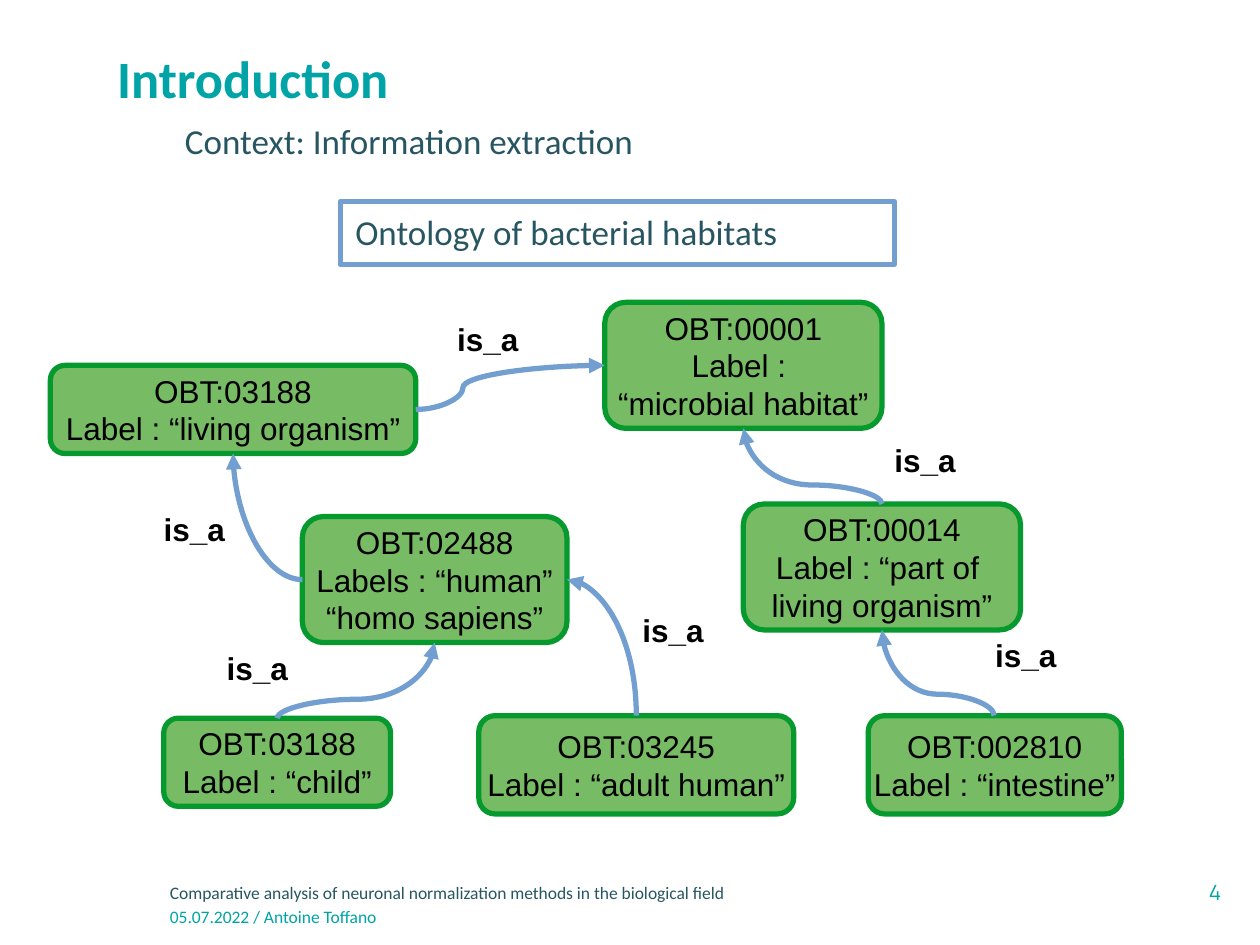
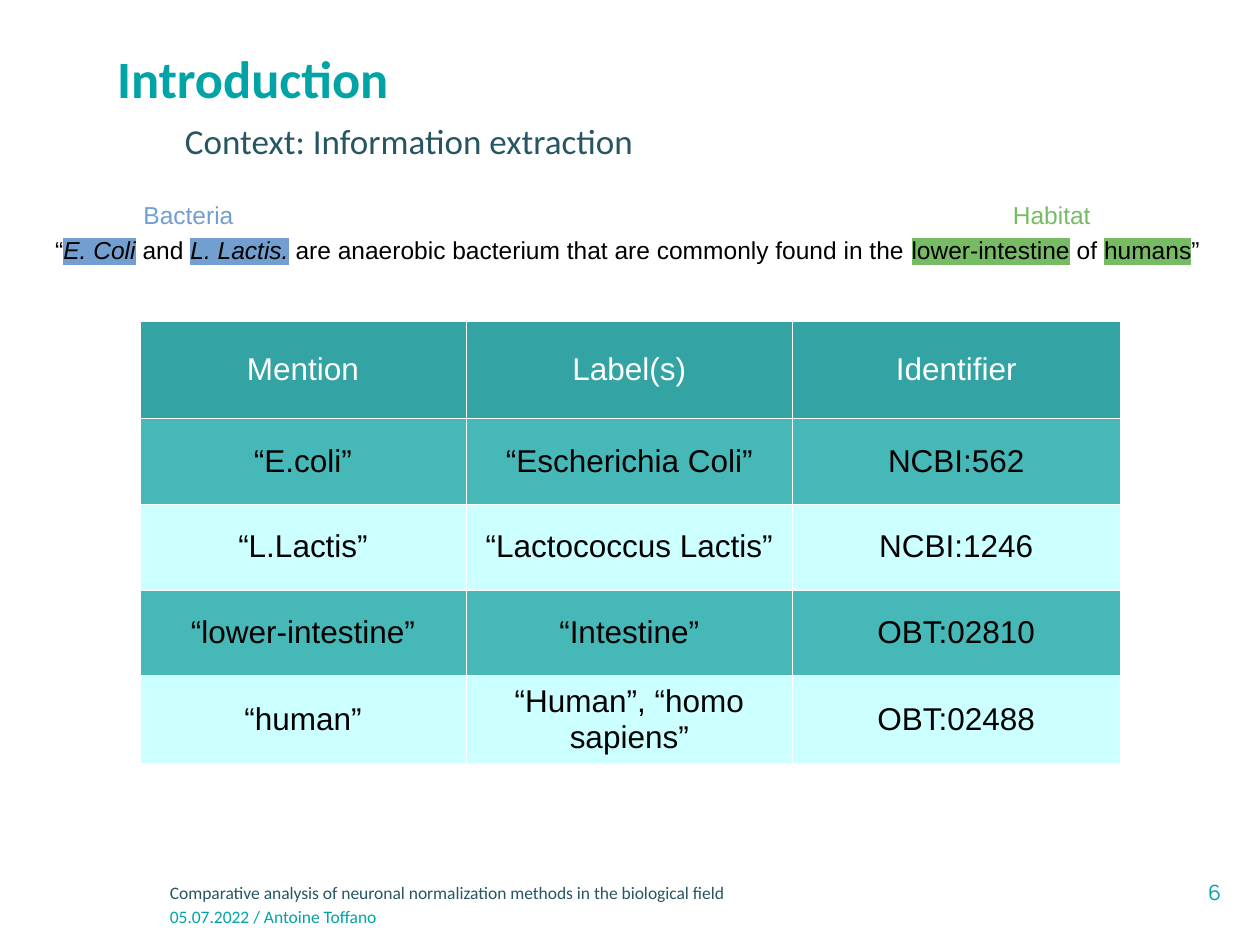
"""Build two slides on information extraction: an ontology graph and a mention table."""
from dataclasses import dataclass
from typing import Optional

from lxml.etree import SubElement as Sub
from pptx import Presentation
from pptx.dml.color import RGBColor as RGB
from pptx.enum.shapes import MSO_CONNECTOR as Link, MSO_SHAPE as Form
from pptx.enum.text import MSO_ANCHOR as Anchor, PP_ALIGN as Align
from pptx.oxml.ns import qn
from pptx.util import Emu, Pt

SCALE = 9144
TEAL = RGB(0x00, 0xA3, 0xA6)
SLATE = RGB(0x27, 0x56, 0x62)
BLUE = RGB(0x72, 0x9F, 0xCF)
LEAF = RGB(0x77, 0xBC, 0x65)
GREEN = RGB(0x06, 0x9A, 0x2E)
BLACK = RGB(0x00, 0x00, 0x00)
WHITE = RGB(0xFF, 0xFF, 0xFF)
HEAD = RGB(0x33, 0xA3, 0xA3)
BANDS = (RGB(0x47, 0xB8, 0xB8), RGB(0xCC, 0xFF, 0xFF))
TOP, LEFT, BOTTOM, RIGHT = range(4)
TURNS = {TOP: 270, LEFT: 180, RIGHT: 0}
THIN = (10, 5, 10, 5)
WIDE = (12, 7, 12, 7)


@dataclass(frozen=True)
class Box:
    x: int
    y: int
    w: int
    h: int

    def mid(self, side: int) -> tuple[int, int]:
        """Return the middle of one side."""
        return {
            TOP: (self.x + self.w // 2, self.y),
            LEFT: (self.x, self.y + self.h // 2),
            BOTTOM: (self.x + self.w // 2, self.y + self.h),
            RIGHT: (self.x + self.w, self.y + self.h // 2),
        }[side]


@dataclass(frozen=True)
class Style:
    size: int
    color: RGB
    face: str = "Arial"
    bold: bool = False
    align: Align = Align.LEFT


@dataclass(frozen=True)
class Label:
    text: str
    box: Box
    style: Style
    inset: tuple = THIN
    anchor: Anchor = Anchor.TOP
    space: Optional[float] = None


@dataclass(frozen=True)
class Node:
    key: str
    text: str
    box: Box


@dataclass(frozen=True)
class Edge:
    start: str
    out: int
    end: str
    into: int


@dataclass(frozen=True)
class Part:
    text: str
    mark: Optional[RGB] = None
    slant: bool = False


BODY = Style(18, BLACK, align=Align.CENTER)
BOLD = Style(18, BLACK, bold=True)
SUB = Style(20, SLATE, "Calibri")
NOTE = Style(14, BLACK, align=Align.JUSTIFY)

FRAME = (
    Label("Comparative analysis of neuronal normalization methods in the biological field",
          Box(125, 695, 775, 27), Style(10, SLATE, "Calibri")),
    Label("05.07.2022 / Antoine Toffano", Box(125, 714, 734, 27), Style(10, TEAL, "Calibri")),
    Label("Introduction", Box(93, 16, 838, 97), Style(30, TEAL, "Calibri", True),
          (0, 5, 10, 5), Anchor.MIDDLE, 0.9),
    Label("Context: Information extraction", Box(137, 94, 794, 74), SUB, space=0.9),
)
NODES = (
    Node("part", "OBT:00014\nLabel : “part of \nliving organism”", Box(590, 400, 220, 100)),
    Node("gut", "OBT:002810\nLabel : “intestine”", Box(689, 568, 201, 78)),
    Node("root", "OBT:00001\nLabel : \n“microbial habitat”", Box(480, 240, 220, 100)),
    Node("adult", "OBT:03245\nLabel : “adult human”", Box(380, 568, 250, 78)),
    Node("human", "OBT:02488\nLabels : “human”\n“homo sapiens”", Box(240, 410, 210, 100)),
    Node("child", "OBT:03188\nLabel : “child”", Box(130, 570, 180, 70)),
    Node("life", "OBT:03188\nLabel : “living organism”", Box(40, 290, 290, 70)),
)
EDGES = (
    Edge("human", LEFT, "life", BOTTOM),
    Edge("life", RIGHT, "root", LEFT),
    Edge("part", TOP, "root", BOTTOM),
    Edge("child", TOP, "human", BOTTOM),
    Edge("adult", TOP, "human", RIGHT),
    Edge("gut", TOP, "part", BOTTOM),
)
TAGS = ((700, 345), (353, 249), (780, 500), (120, 400), (170, 510), (500, 480))
QUOTE = (
    Part("“"), Part("E. Coli", BLUE, True), Part(" and "), Part("L. Lactis.", BLUE, True),
    Part(" are anaerobic bacterium that are commonly found in the "),
    Part("lower-intestine", LEAF), Part(" of "), Part("humans", LEAF), Part("”"),
)
ROWS = (
    ("Mention", "Label(s)", "Identifier"),
    ("“E.coli”", "“Escherichia Coli”", "NCBI:562"),
    ("“L.Lactis”", "“Lactococcus Lactis”", "NCBI:1246"),
    ("“lower-intestine”", "“Intestine”", "OBT:02810"),
    ("“human”", "“Human”, “homo sapiens”", "OBT:02488"),
)
KINDS = (
    Label("Habitat", Box(794, 154, 121, 32), Style(14, LEAF)),
    Label("Bacteria", Box(104, 154, 240, 32), Style(14, BLUE)),
)


def px(size: float) -> Emu:
    """Turn px into EMU."""
    return Emu(round(size * SCALE))


def place(box: Box) -> tuple:
    """Return the box lengths in EMU."""
    return px(box.x), px(box.y), px(box.w), px(box.h)


def dress(frame, style: Style) -> None:
    """Format every paragraph and run of a text frame."""
    for para in frame.paragraphs:
        para.alignment = style.align
        for run in para.runs:
            font = run.font
            font.size, font.name, font.bold = Pt(style.size), style.face, style.bold
            font.color.rgb = style.color


def setup(frame, inset: tuple, anchor: Anchor, wrap: bool = True) -> None:
    """Set the margins, anchor and wrapping of a text frame."""
    frame.margin_left, frame.margin_top, frame.margin_right, frame.margin_bottom = map(px, inset)
    frame.vertical_anchor, frame.word_wrap = anchor, wrap


def write(slide, label: Label) -> None:
    """Add a text box."""
    frame = slide.shapes.add_textbox(*place(label.box)).text_frame
    setup(frame, label.inset, label.anchor)
    frame.text = label.text
    if label.space:
        frame.paragraphs[0].line_spacing = label.space
    dress(frame, label.style)


def panel(slide, form: Form, box: Box, line: RGB, fill: Optional[RGB] = None):
    """Add an outlined shape, filled if a colour is given."""
    shape = slide.shapes.add_shape(form, *place(box))
    shape.shadow.inherit = False
    if fill is None:
        shape.fill.background()
    else:
        shape.fill.solid()
        shape.fill.fore_color.rgb = fill
    shape.line.color.rgb, shape.line.width = line, Pt(3)
    return shape


def draw(slide, node: Node):
    """Add one ontology node."""
    shape = panel(slide, Form.ROUNDED_RECTANGLE, node.box, GREEN, LEAF)
    setup(shape.text_frame, WIDE, Anchor.MIDDLE, False)
    shape.text_frame.text = node.text
    dress(shape.text_frame, BODY)
    return shape


def join(slide, edge: Edge, boxes: dict, shapes: dict) -> None:
    """Add a curved arrow between two nodes."""
    x1, y1 = boxes[edge.start].mid(edge.out)
    x2, y2 = boxes[edge.end].mid(edge.into)
    dx, dy = x2 - x1, y2 - y1
    turn = TURNS[edge.out]
    w, h = (abs(dy), abs(dx)) if turn == 270 else (abs(dx), abs(dy))
    line = slide.shapes.add_connector(Link.CURVE, 0, 0, 0, 0)
    line.begin_connect(shapes[edge.start], edge.out)
    line.end_connect(shapes[edge.end], edge.into)
    line.left, line.top = px((x1 + x2 - w) / 2), px((y1 + y2 - h) / 2)
    line.width, line.height, line.rotation = px(w), px(h), turn
    props = line._element.spPr
    xfrm = props.find(qn("a:xfrm"))
    xfrm.flipH = False
    xfrm.flipV = {0: dy < 0, 180: dy > 0, 270: dx < 0}[turn]
    geom = props.find(qn("a:prstGeom"))
    if edge.out % 2 == edge.into % 2:
        Sub(geom.find(qn("a:avLst")), qn("a:gd"), name="adj1", fmla="val 25000")
    else:
        geom.set("prst", "curvedConnector2")
    line.line.color.rgb, line.line.width = BLUE, Pt(3)
    Sub(props.find(qn("a:ln")), qn("a:tailEnd"), type="triangle")
    Sub(props, qn("a:effectLst"))


def quote(slide) -> None:
    """Add the sentence with its marked mentions."""
    frame = slide.shapes.add_textbox(*place(Box(34, 182, 930, 54))).text_frame
    setup(frame, THIN, Anchor.TOP)
    para = frame.paragraphs[0]
    for part in QUOTE:
        run = para.add_run()
        run.text, run.font.italic = part.text, part.slant
    dress(frame, NOTE)
    for part, run in zip(QUOTE, para.runs):
        if part.mark is not None:
            props = run._r.get_or_add_rPr()
            mark = Sub(props, qn("a:highlight"))
            Sub(mark, qn("a:srgbClr"), val=str(part.mark))
            props.find(qn("a:solidFill")).addnext(mark)


def edges(cell) -> None:
    """Give a cell hairline white borders."""
    props = cell._tc.get_or_add_tcPr()
    for spot, side in enumerate(("lnL", "lnR", "lnT", "lnB")):
        line = Sub(props, qn(f"a:{side}"), w="762")
        Sub(Sub(line, qn("a:solidFill")), qn("a:srgbClr"), val=str(WHITE))
        props.insert(spot, line)


def grid(slide) -> None:
    """Add the mention table."""
    table = slide.shapes.add_table(len(ROWS), 3, *place(Box(111, 255, 778, 349))).table
    for col, width in zip(table.columns, (259, 259, 260)):
        col.width = px(width)
    for r, row in enumerate(ROWS):
        table.rows[r].height = px(68 if r else 77)
        for c, text in enumerate(row):
            cell = table.cell(r, c)
            cell.text, cell.vertical_anchor = text, Anchor.MIDDLE
            cell.fill.solid()
            cell.fill.fore_color.rgb = BANDS[(r - 1) % 2] if r else HEAD
            edges(cell)
            dress(cell.text_frame, BODY if r else Style(18, WHITE, align=Align.CENTER))


def start(deck, page: int):
    """Add a slide with the shared title, subtitle and footer."""
    slide = deck.slides.add_slide(deck.slide_layouts[6])
    folio = Style(12, TEAL, "Manrope", align=Align.RIGHT)
    for label in (Label(str(page), Box(751, 693, 228, 33), folio), *FRAME):
        write(slide, label)
    return slide


def graph(deck) -> None:
    """Build the ontology slide."""
    slide = start(deck, 4)
    frame = panel(slide, Form.RECTANGLE, Box(270, 160, 440, 50), BLUE).text_frame
    setup(frame, WIDE, Anchor.TOP)
    frame.text = "Ontology of bacterial habitats"
    dress(frame, SUB)
    for x, y in TAGS:
        write(slide, Label("is_a", Box(x, y, 97, 51), BOLD))
    boxes = {node.key: node.box for node in NODES}
    shapes = {node.key: draw(slide, node) for node in NODES}
    for edge in EDGES:
        join(slide, edge, boxes, shapes)


def links(deck) -> None:
    """Build the mention slide."""
    slide = start(deck, 6)
    grid(slide)
    for label in KINDS:
        write(slide, label)
    quote(slide)


def main() -> None:
    """Build and save the deck."""
    deck = Presentation()
    deck.slide_width, deck.slide_height = px(1000), px(750)
    graph(deck)
    links(deck)
    deck.save("out.pptx")


if __name__ == "__main__":
    main()
